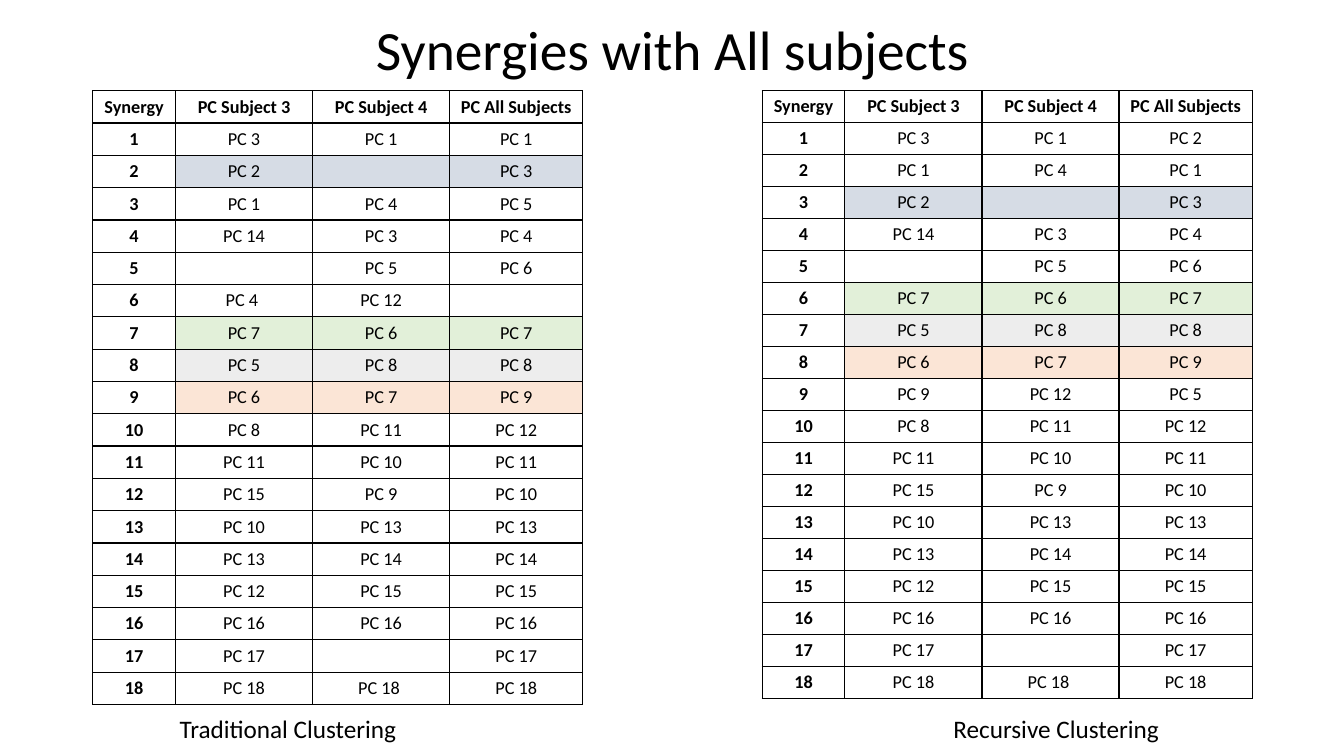
from dataclasses import dataclass

from lxml import etree
from pptx import Presentation
from pptx.dml.color import RGBColor
from pptx.enum.text import MSO_ANCHOR, PP_ALIGN
from pptx.oxml.ns import qn
from pptx.util import Inches, Pt

CENTER = PP_ALIGN.CENTER
MIDDLE = MSO_ANCHOR.MIDDLE
TITLE_ONLY = 5


@dataclass(frozen=True)
class Theme:
    font: str = "Calibri"
    ink: str = "000000"
    blue: str = "D6DCE5"
    green: str = "E2F0D9"
    gray: str = "EDEDED"
    orange: str = "FBE5D6"
    title_size: float = 39.6
    caption_size: float = 18
    cell_size: float = 13
    border_width: float = 1


@dataclass(frozen=True)
class ClusterTable:
    caption: str
    caption_left: float
    left: float
    row_height: float
    margin: float
    rows: list[tuple[str, str, str]]
    fills: dict[int, str]


THEME = Theme()
HEADERS = ("Synergy", "PC Subject 3", "PC Subject 4", "PC All Subjects")
COLUMN_WIDTHS = (0.82, 1.36, 1.36, 1.32)
TABLE_TOP = 0.9
CAPTION_TOP = 7.03

SHARED_ROWS = [
    ("PC 8", "PC 11", "PC 12"),
    ("PC 11", "PC 10", "PC 11"),
    ("PC 15", "PC 9", "PC 10"),
    ("PC 10", "PC 13", "PC 13"),
    ("PC 13", "PC 14", "PC 14"),
    ("PC 12", "PC 15", "PC 15"),
    ("PC 16", "PC 16", "PC 16"),
    ("PC 17", "", "PC 17"),
    ("PC 18", "PC 18 ", "PC 18"),
]
MATCHED_ROWS = [
    ("PC 7", "PC 6", "PC 7"),
    ("PC 5", "PC 8", "PC 8"),
    ("PC 6", "PC 7", "PC 9"),
]
TABLES = [
    ClusterTable(
        "Traditional Clustering", 1.66, 0.92, 0.32, 0.05,
        [
            ("PC 3", "PC 1", "PC 1"),
            ("PC 2", "", "PC 3"),
            ("PC 1", "PC 4", "PC 5"),
            ("PC 14", "PC 3", "PC 4"),
            ("", "PC 5", "PC 6"),
            ("PC 4 ", "PC 12", ""),
            *MATCHED_ROWS,
            *SHARED_ROWS,
        ],
        {2: THEME.blue, 7: THEME.green, 8: THEME.gray, 9: THEME.orange},
    ),
    ClusterTable(
        "Recursive Clustering", 9.28, 7.56, 6.03 / 19, 0.04,
        [
            ("PC 3", "PC 1", "PC 2"),
            ("PC 1", "PC 4", "PC 1"),
            ("PC 2", "", "PC 3"),
            ("PC 14", "PC 3", "PC 4"),
            ("", "PC 5", "PC 6"),
            *MATCHED_ROWS,
            ("PC 9", "PC 12", "PC 5"),
            *SHARED_ROWS,
        ],
        {3: THEME.blue, 6: THEME.green, 7: THEME.gray, 8: THEME.orange},
    ),
]


def write_text(frame, text: str, *, size: float, bold: bool = False,
               line_spacing: float | None = None) -> None:
    para = frame.paragraphs[0]
    para.alignment = CENTER
    para.line_spacing = line_spacing
    if not text:
        etree.SubElement(para._p, qn("a:endParaRPr"), sz=str(int(size * 100)))
        return
    span = para.add_run()
    span.text = text
    span.font.name = THEME.font
    span.font.size = Pt(size)
    span.font.bold = bold
    span.font.color.rgb = RGBColor.from_string(THEME.ink)


def add_borders(cell) -> None:
    properties = cell._tc.get_or_add_tcPr()
    for side in ("L", "R", "T", "B"):
        line = etree.SubElement(properties, qn(f"a:ln{side}"), w=str(Pt(THEME.border_width)))
        fill = etree.SubElement(line, qn("a:solidFill"))
        etree.SubElement(fill, qn("a:srgbClr"), val=THEME.ink)


def add_title(page, text: str) -> None:
    box = page.shapes.title
    box.left, box.top = Inches(0.92), Inches(0.26)
    box.width, box.height = Inches(11.5), Inches(0.53)
    box.text_frame.vertical_anchor = MIDDLE
    write_text(box.text_frame, text, size=THEME.title_size, line_spacing=0.9)


def add_caption(page, item: ClusterTable) -> None:
    box = page.shapes.add_textbox(
        Inches(item.caption_left), Inches(CAPTION_TOP), Inches(2.39), Inches(0.4))
    box.text_frame.word_wrap = True
    write_text(box.text_frame, item.caption, size=THEME.caption_size)


def add_cluster_table(page, item: ClusterTable) -> None:
    numbered = [(str(number), *row) for number, row in enumerate(item.rows, 1)]
    lines = [HEADERS, *numbered]
    table = page.shapes.add_table(
        len(lines), len(HEADERS), Inches(item.left), Inches(TABLE_TOP),
        Inches(sum(COLUMN_WIDTHS)), Inches(item.row_height * len(lines))).table
    table.first_row = table.horz_banding = False
    for column, width in zip(table.columns, COLUMN_WIDTHS):
        column.width = Inches(width)
    for row_index, line in enumerate(lines):
        table.rows[row_index].height = Inches(item.row_height)
        for column_index, text in enumerate(line):
            cell = table.cell(row_index, column_index)
            cell.vertical_anchor = MIDDLE
            cell.margin_top = cell.margin_bottom = Inches(item.margin)
            add_borders(cell)
            if column_index and row_index in item.fills:
                cell.fill.solid()
                cell.fill.fore_color.rgb = RGBColor.from_string(item.fills[row_index])
            else:
                cell.fill.background()
            write_text(cell.text_frame, text, size=THEME.cell_size,
                       bold=row_index == 0 or column_index == 0)


def main() -> None:
    deck = Presentation()
    deck.slide_width, deck.slide_height = Inches(13.33), Inches(7.5)
    page = deck.slides.add_slide(deck.slide_layouts[TITLE_ONLY])
    add_title(page, "Synergies with All subjects")
    for item in TABLES:
        add_cluster_table(page, item)
        add_caption(page, item)
    deck.save("out.pptx")


if __name__ == "__main__":
    main()
